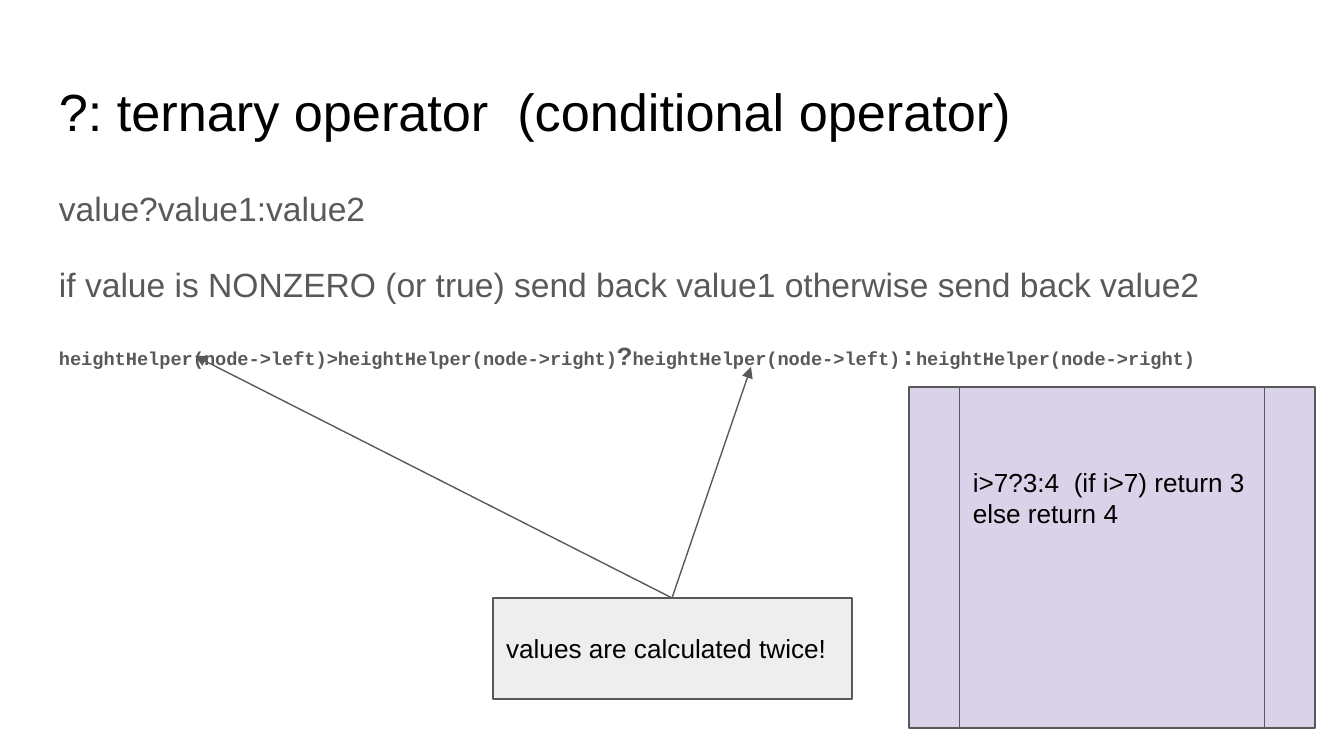
import dataclasses
import typing

import pptx
import pptx.dml.color
import pptx.enum.shapes
import pptx.enum.text
import pptx.oxml
import pptx.oxml.ns
import pptx.util

EMU_PER_PIXEL = 914400 / 134.4
INSET = 13
OUTLINE = "595959"
OUTLINE_WIDTH = 0.75
SHAPES = pptx.enum.shapes.MSO_SHAPE
ANCHORS = pptx.enum.text.MSO_ANCHOR


@dataclasses.dataclass
class Box:
    left: int
    top: int
    width: int
    height: int


@dataclasses.dataclass
class Run:
    text: str
    size: int
    font: str = "Arial"
    bold: bool = False


@dataclasses.dataclass
class Callout:
    box: Box
    preset: pptx.enum.shapes.MSO_SHAPE
    fill: str
    text: str
    bottom_inset: int = INSET


@dataclasses.dataclass
class Arrow:
    start: tuple[int, int]
    end: tuple[int, int]


def px(pixels: int) -> pptx.util.Emu:
    return pptx.util.Emu(round(pixels * EMU_PER_PIXEL))


def color(value: str) -> pptx.dml.color.RGBColor:
    return pptx.dml.color.RGBColor.from_string(value)


def bounds(box: Box) -> list[pptx.util.Emu]:
    return [px(length) for length in dataclasses.astuple(box)]


def write(frame: typing.Any, paragraphs: list[list[Run]], *, ink: str = "000000",
          anchor: typing.Any = ANCHORS.TOP, line_spacing: float = 1.0,
          space_after: int = 0, bottom_inset: int = INSET) -> None:
    frame.word_wrap = True
    frame.vertical_anchor = anchor
    frame.margin_left = frame.margin_right = frame.margin_top = px(INSET)
    frame.margin_bottom = px(bottom_inset)
    for index, runs in enumerate(paragraphs):
        paragraph = frame.add_paragraph() if index else frame.paragraphs[0]
        paragraph.alignment = pptx.enum.text.PP_ALIGN.LEFT
        paragraph.line_spacing = line_spacing
        paragraph.space_after = pptx.util.Pt(space_after)
        for run in runs:
            piece = paragraph.add_run()
            piece.text = run.text
            piece.font.name = run.font
            piece.font.size = pptx.util.Pt(run.size)
            piece.font.bold = run.bold
            piece.font.color.rgb = color(ink)


def outline(line: typing.Any) -> None:
    line.color.rgb = color(OUTLINE)
    line.width = pptx.util.Pt(OUTLINE_WIDTH)


def draw_callout(slide: typing.Any, callout: Callout) -> None:
    shape = slide.shapes.add_shape(callout.preset, *bounds(callout.box))
    shape.shadow.inherit = False
    shape.fill.solid()
    shape.fill.fore_color.rgb = color(callout.fill)
    outline(shape.line)
    write(shape.text_frame, [[Run(callout.text, 14)]], anchor=ANCHORS.MIDDLE,
          bottom_inset=callout.bottom_inset)


def draw_arrow(slide: typing.Any, arrow: Arrow) -> None:
    ends = [px(length) for length in arrow.start + arrow.end]
    connector = slide.shapes.add_connector(
        pptx.enum.shapes.MSO_CONNECTOR.STRAIGHT, *ends)
    outline(connector.line)
    head = pptx.oxml.parse_xml(
        f'<a:tailEnd {pptx.oxml.ns.nsdecls("a")} type="triangle" w="med" len="med"/>')
    connector.line._get_or_add_ln().append(head)
    connector._element.spPr.append(
        pptx.oxml.parse_xml(f'<a:effectLst {pptx.oxml.ns.nsdecls("a")}/>'))


def code(text: str, size: int = 10) -> Run:
    return Run(text, size, "Courier New", True)


LEFT_HEIGHT = "heightHelper(node->left)"
RIGHT_HEIGHT = "heightHelper(node->right)"
EXPLANATION = [
    [Run("value?value1:value2", 18)],
    [Run("if value is NONZERO (or true) send back value1 otherwise send back value2", 18)],
    [code(f"{LEFT_HEIGHT}>{RIGHT_HEIGHT}"), code("?", 14), code(LEFT_HEIGHT),
     code(":", 14), code(RIGHT_HEIGHT)],
]
WARNING = Callout(Box(493, 598, 359, 101), SHAPES.RECTANGLE, "EEEEEE",
                  "values are calculated twice!")
EXAMPLE = Callout(Box(909, 387, 406, 341), SHAPES.FLOWCHART_PREDEFINED_PROCESS, "D9D2E9",
                  "i>7?3:4  (if i>7) return 3 else return 4", 133)
WARNING_TOP = (672, 598)
ARROWS = [Arrow(WARNING_TOP, target) for target in ((195, 356), (751, 367))]

presentation = pptx.Presentation()
presentation.slide_width = px(1344)
presentation.slide_height = px(756)
slide = presentation.slides.add_slide(presentation.slide_layouts[6])

title = slide.shapes.add_textbox(*bounds(Box(46, 66, 1253, 84)))
write(title.text_frame, [[Run("?: ternary operator  (conditional operator)", 28)]])
explanation = slide.shapes.add_textbox(*bounds(Box(46, 169, 1253, 241)))
write(explanation.text_frame, EXPLANATION, ink="595959", line_spacing=1.15, space_after=16)

draw_callout(slide, WARNING)
for arrow in ARROWS:
    draw_arrow(slide, arrow)
draw_callout(slide, EXAMPLE)

presentation.save("out.pptx")
